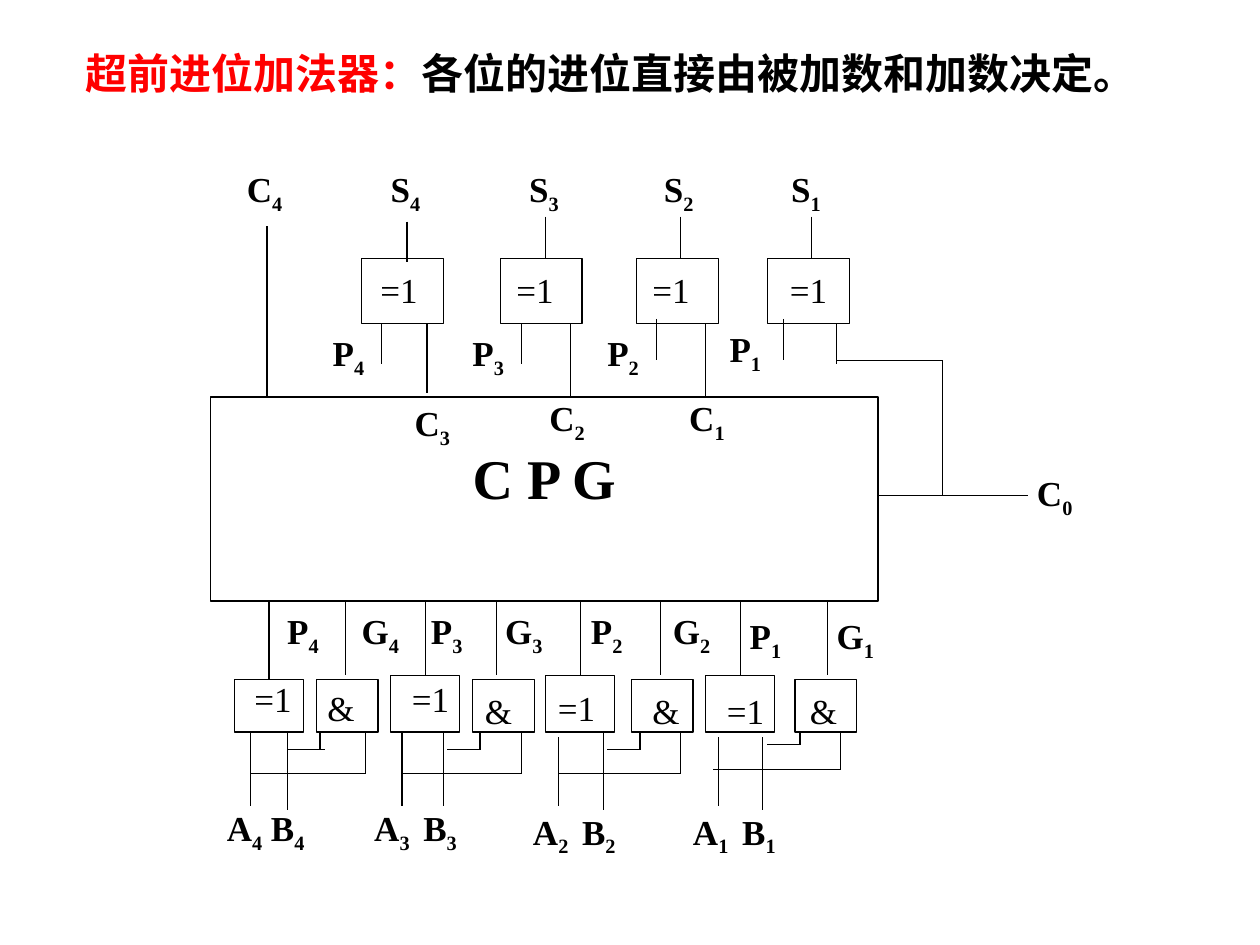
"""Build a slide showing a four-bit carry look-ahead adder."""
from dataclasses import dataclass

import pptx
import pptx.dml.color
import pptx.enum.shapes
import pptx.enum.text
import pptx.oxml
import pptx.util

Inches = pptx.util.Inches
Align = pptx.enum.text.PP_ALIGN
TOP, BOTTOM = 0, 2


@dataclass(frozen=True)
class Theme:
    font: str = "Times New Roman"
    ink: str = "000000"
    paper: str = "FFFFFF"
    accent: str = "FF0000"
    title: int = 24
    block: int = 32
    label: int = 20
    line: float = 0.75


THEME = Theme()

TITLE = [("超前进位加法器：", THEME.accent), ("各位的进位直接由被加数和加数决定。", THEME.ink)]
TITLE_BOX = (0.58, 0.33, 8.5, 0.5)
CPG = (1.67, 3.15, 5.3, 1.62)
CPG_BOTTOM = CPG[1] + CPG[3]
CARRY_IN_Y = 3.93
LABEL_SIZE = (0.36, 0.45)
SUM_SIZE, XOR_WIDTH, AND_SIZE = (0.65, 0.52), 0.55, (0.49, 0.42)
SUM_TOP, AND_TOP, GATE_BOTTOM = 2.05, 5.39, 5.81
SUM_BOTTOM = SUM_TOP + SUM_SIZE[1]

SUM_GATES = [
    dict(left=2.87, text=2.92, output=(3.23, 1.76, 2.08), propagate=(3.03, 2.57, 2.89), carry=(3.39, 3.12)),
    dict(left=3.97, text=4.0, output=(4.33, 1.72, 2.05), propagate=(4.14, 2.57, 2.89), carry=(4.53, 3.15)),
    dict(left=5.05, text=5.08, output=(5.4, 1.72, 2.05), propagate=(5.21, 2.53, 2.86), carry=(5.6, 3.15)),
    dict(left=6.09, text=6.17, output=(6.44, 1.72, 2.05), propagate=(6.22, 2.53, 2.86), carry=(6.64, 2.89)),
]

INPUT_STAGES = [
    dict(xor=(1.86, 5.39), xor_text=(1.92, 5.33), and_left=2.51, and_text=(2.5, 5.4), generate=2.74,
         a=(1.99, 5.62, 6.4), b=(2.28, 5.62, 6.43), a_tap=(1.99, 2.9, 6.14), b_tap=(2.28, 2.58, 5.95), b_rise=2.54),
    dict(xor=(3.1, 5.36), xor_text=(3.17, 5.33), and_left=3.75, and_text=(3.75, 5.42), generate=3.94,
         a=(3.19, 5.65, 6.4), b=(3.52, 5.82, 6.4), a_tap=(3.19, 4.14, 6.14), b_tap=(3.55, 3.81, 5.95), b_rise=3.81),
    dict(xor=(4.33, 5.36), xor_text=(4.33, 5.4), and_left=5.01, and_text=(5.08, 5.42), generate=5.24,
         a=(4.43, 5.85, 6.4), b=(4.79, 5.82, 6.43), a_tap=(4.43, 5.4, 6.14), b_tap=(4.82, 5.08, 5.95), b_rise=5.08),
    dict(xor=(5.6, 5.36), xor_text=(5.67, 5.42), and_left=6.31, and_text=(6.33, 5.42), generate=6.57,
         a=(5.7, 5.85, 6.4), b=(6.05, 5.85, 6.43), a_tap=(5.66, 6.67, 6.11), b_tap=(6.09, 6.35, 5.91), b_rise=6.35),
]

LABEL_ROWS = [
    (1.33, [("C4", 1.96), ("S4", 3.1), ("S3", 4.2), ("S2", 5.27), ("S1", 6.28)]),
    (2.63, [("P4", 2.64), ("P3", 3.75), ("P2", 4.82)]),
    (2.6, [("P1", 5.79)]),
    (3.19, [("C3", 3.29)]),
    (3.74, [("C0", 8.23)]),
    (4.84, [("P4", 2.28), ("G4", 2.87), ("P3", 3.42), ("G3", 4.01), ("P2", 4.69), ("G2", 5.34)]),
    (4.88, [("P1", 5.95), ("G1", 6.64)]),
    (6.4, [("A4", 1.8), ("B4", 2.15), ("A3", 2.97), ("B3", 3.36)]),
    (6.43, [("A2", 4.23), ("B2", 4.62), ("A1", 5.5), ("B1", 5.89)]),
]
BORDER_LABELS = (3.15, [("C2", 4.36), ("C1", 5.47)])


def rgb(value):
    return pptx.dml.color.RGBColor.from_string(value)


def style(paragraph, size, bold, alignment):
    paragraph.alignment = alignment
    font = paragraph.font
    font.name, font.size, font.bold = THEME.font, pptx.util.Pt(size), bold
    font.color.rgb = rgb(THEME.ink)


def add_box(slide, left, top, width, height, outlined=True):
    shape = slide.shapes.add_shape(
        pptx.enum.shapes.MSO_SHAPE.RECTANGLE, *map(Inches, (left, top, width, height)))
    shape.shadow.inherit = False
    shape.fill.solid()
    shape.fill.fore_color.rgb = rgb(THEME.paper)
    if outlined:
        shape.line.color.rgb = rgb(THEME.ink)
        shape.line.width = pptx.util.Pt(THEME.line)
    else:
        shape.line.fill.background()
    return shape


def add_wire(slide, x1, y1, x2, y2):
    wire = slide.shapes.add_connector(
        pptx.enum.shapes.MSO_CONNECTOR.STRAIGHT, *map(Inches, (x1, y1, x2, y2)))
    wire.line.color.rgb = rgb(THEME.ink)
    wire.line.width = pptx.util.Pt(THEME.line)
    properties = wire._element.spPr
    properties.append(properties.makeelement(pptx.oxml.ns.qn("a:effectLst"), {}))
    return wire


def add_label(slide, name, left, top, filled=True):
    if filled:
        shape = add_box(slide, left, top, *LABEL_SIZE, outlined=False)
    else:
        shape = slide.shapes.add_textbox(*map(Inches, (left, top, *LABEL_SIZE)))
    frame = shape.text_frame
    frame.word_wrap = True
    frame.vertical_anchor = pptx.enum.text.MSO_ANCHOR.TOP
    frame.margin_left = frame.margin_top = frame.margin_right = frame.margin_bottom = 0
    paragraph = frame.paragraphs[0]
    style(paragraph, THEME.label, True, Align.JUSTIFY)
    for character in name:
        paragraph.add_run().text = character
    paragraph.runs[1]._r.get_or_add_rPr().set("baseline", "-25000")


def add_symbol(slide, symbol, left, top, width):
    shape = slide.shapes.add_textbox(*map(Inches, (left, top, width, 0.43)))
    shape.text_frame.word_wrap = True
    paragraph = shape.text_frame.paragraphs[0]
    paragraph.text = symbol
    style(paragraph, THEME.label, False, Align.LEFT)


def add_title(slide):
    title = slide.shapes.title
    title.left, title.top, title.width, title.height = map(Inches, TITLE_BOX)
    frame = title.text_frame
    frame.word_wrap = True
    frame.auto_size = pptx.enum.text.MSO_AUTO_SIZE.SHAPE_TO_FIT_TEXT
    frame.vertical_anchor = pptx.enum.text.MSO_ANCHOR.TOP
    paragraph = frame.paragraphs[0]
    style(paragraph, THEME.title, True, Align.LEFT)
    for text, color in TITLE:
        run = paragraph.add_run()
        run.text = text
        run.font.color.rgb = rgb(color)


def add_generator(slide):
    block = add_box(slide, *CPG)
    frame = block.text_frame
    frame.vertical_anchor = pptx.enum.text.MSO_ANCHOR.TOP
    frame.margin_top = Inches(0.37)
    paragraph = frame.paragraphs[0]
    paragraph.text = "C P G"
    style(paragraph, THEME.block, True, Align.CENTER)
    add_wire(slide, 2.12, CPG[1], 2.12, 1.79)
    add_wire(slide, CPG[0] + CPG[2], CARRY_IN_Y, 8.16, CARRY_IN_Y)
    add_wire(slide, 6.64, 2.86, 7.48, 2.86)
    add_wire(slide, 7.48, 2.86, 7.48, CARRY_IN_Y)


def add_sum_gate(slide, left, text, output, propagate, carry):
    add_box(slide, left, SUM_TOP, *SUM_SIZE)
    for x, top, bottom in (output, propagate, (carry[0], SUM_BOTTOM, carry[1])):
        add_wire(slide, x, top, x, bottom)
    add_symbol(slide, "=1", text, 2.08, 0.75)


def add_input_stage(slide, xor, xor_text, and_left, and_text, generate, a, b, a_tap, b_tap, b_rise):
    for x, top, bottom in (a, b, (a_tap[1], 5.75, a_tap[2]), (b_rise, 5.78, b_tap[2])):
        add_wire(slide, x, top, x, bottom)
    for start, end, y in (a_tap, b_tap):
        add_wire(slide, start, y, end, y)
    xor_gate = add_box(slide, *xor, XOR_WIDTH, GATE_BOTTOM - xor[1])
    add_box(slide, and_left, AND_TOP, *AND_SIZE)
    center = xor[0] + XOR_WIDTH / 2
    add_wire(slide, center, CPG_BOTTOM, center, xor[1]).end_connect(xor_gate, TOP)
    add_wire(slide, generate, CPG_BOTTOM, generate, 5.36)
    add_symbol(slide, "=1", *xor_text, 0.75)
    add_symbol(slide, "&", *and_text, 0.42)


def main():
    presentation = pptx.Presentation()
    presentation.slide_width, presentation.slide_height = Inches(10), Inches(7.5)
    slide = presentation.slides.add_slide(presentation.slide_layouts[5])
    add_title(slide)
    add_generator(slide)
    for top, labels in LABEL_ROWS:
        for name, left in labels:
            add_label(slide, name, left, top)
    for name, left in BORDER_LABELS[1]:
        add_label(slide, name, left, BORDER_LABELS[0], filled=False)
    for gate in SUM_GATES:
        add_sum_gate(slide, **gate)
    for stage in INPUT_STAGES:
        add_input_stage(slide, **stage)
    presentation.save("out.pptx")


if __name__ == "__main__":
    main()
